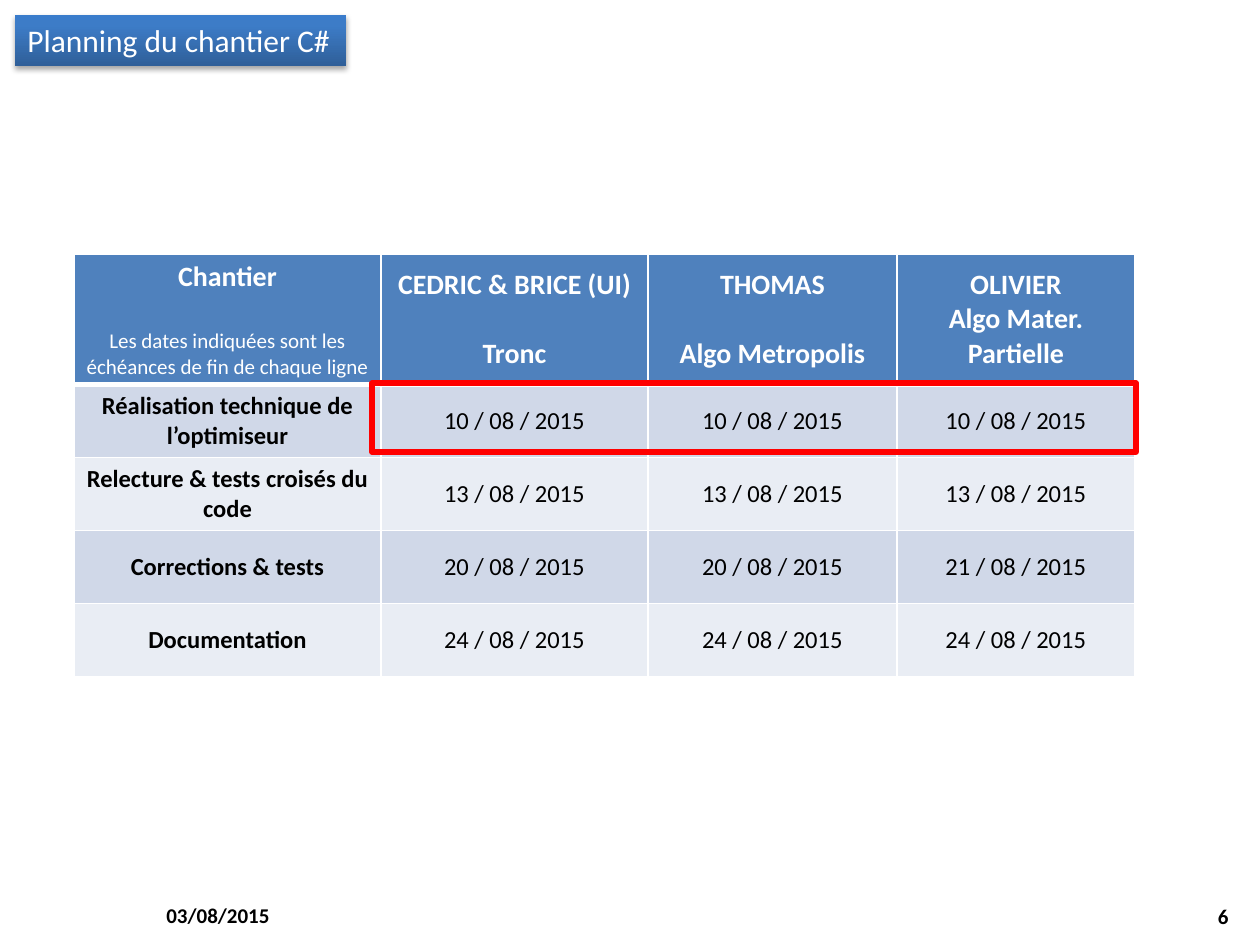
from copy import deepcopy
from dataclasses import dataclass

from lxml import etree
from pptx import Presentation
from pptx import util as u
from pptx.dml.color import RGBColor
from pptx.enum import shapes, text
from pptx.oxml.ns import qn

PX = 914400 / 126


@dataclass(frozen=True)
class Theme:
    font: str = "Calibri"
    black: str = "000000"
    white: str = "FFFFFF"
    header: str = "4F81BD"
    bands: tuple = ("D0D8E8", "E9EDF4")
    highlight: str = "FF0000"
    gradient: tuple = ((0, "2F5F99"), (0.8, "3D7CC7"), (1, "3A7CCB"))
    title: int = 18
    heading: int = 16
    body: int = 14
    small: int = 12
    line_gap: float = 19.5


T = Theme()
COLUMNS = (307, 267, 249, 238)
ROWS = (128, 73, 73, 73, 73)
HEADERS = (
    ("Chantier", "Les dates indiquées sont les échéances de fin de chaque ligne"),
    ("CEDRIC & BRICE (UI)", "Tronc"),
    ("THOMAS", "Algo Metropolis"),
    ("OLIVIER", "Algo Mater. Partielle"),
)
DEADLINES = (
    ("Réalisation technique de l’optimiseur", (10, 10, 10)),
    ("Relecture & tests croisés du code", (13, 13, 13)),
    ("Corrections & tests", (20, 20, 21)),
    ("Documentation", (24, 24, 24)),
)


def emu(*lengths):
    return [u.Emu(round(n * PX)) for n in lengths]


def rgb(value):
    return RGBColor.from_string(value)


def style(p, size, color, bold=False, align=text.PP_ALIGN.LEFT):
    p.alignment = align
    p.font.name, p.font.size, p.font.bold = T.font, u.Pt(size), bold
    p.font.color.rgb = rgb(color)


def add_title(slide, box, title):
    sp = slide.shapes.add_shape(shapes.MSO_SHAPE.RECTANGLE, *emu(*box))
    sp.line.fill.background()
    sp.fill.gradient()
    sp.fill.gradient_angle = 90
    stop_list = sp._element.spPr.find(qn("a:gradFill")).find(qn("a:gsLst"))
    stop_list.append(deepcopy(stop_list[-1]))
    for stop, (position, color) in zip(sp.fill.gradient_stops, T.gradient):
        stop.position = position
        stop.color.rgb = rgb(color)

    sp.shadow.inherit = False
    effects = sp._element.spPr.find(qn("a:effectLst"))
    shadow = etree.SubElement(effects, qn("a:outerShdw"), blurRad="40000",
                              dist="23000", dir="5400000", rotWithShape="0")
    color = etree.SubElement(shadow, qn("a:srgbClr"), val=T.black)
    etree.SubElement(color, qn("a:alpha"), val="35000")

    tf = sp.text_frame
    tf.word_wrap = False
    tf.auto_size = text.MSO_AUTO_SIZE.SHAPE_TO_FIT_TEXT
    tf.vertical_anchor = text.MSO_ANCHOR.TOP
    tf.text = title
    style(tf.paragraphs[0], T.title, T.white)


def set_borders(cell, bottom):
    tc_pr = cell._tc.get_or_add_tcPr()
    widths = (("a:lnL", 1), ("a:lnR", 1), ("a:lnT", 1), ("a:lnB", bottom))
    for i, (tag, width) in enumerate(widths):
        line = etree.Element(qn(tag), w=str(u.Pt(width)))
        fill = etree.SubElement(line, qn("a:solidFill"))
        etree.SubElement(fill, qn("a:srgbClr"), val=T.white)
        tc_pr.insert(i, line)


def fill_cell(cell, lines, fill, size, color, bold, bottom=1):
    cell.fill.solid()
    cell.fill.fore_color.rgb = rgb(fill)
    cell.vertical_anchor = text.MSO_ANCHOR.MIDDLE
    set_borders(cell, bottom)
    cell.text = "\n".join(lines)
    for p in cell.text_frame.paragraphs:
        style(p, size, color, bold, text.PP_ALIGN.CENTER)


def add_planning(slide, left, top):
    box = emu(left, top, sum(COLUMNS), sum(ROWS))
    table = slide.shapes.add_table(len(ROWS), len(COLUMNS), *box).table
    for column, width in zip(table.columns, emu(*COLUMNS)):
        column.width = width
    for row, height in zip(table.rows, emu(*ROWS)):
        row.height = height

    for c, lines in enumerate(HEADERS):
        cell = table.cell(0, c)
        fill_cell(cell, lines, T.header, T.heading, T.white, True, bottom=3)
        if c < len(HEADERS) - 1:
            cell.text_frame.paragraphs[1].space_before = u.Pt(T.line_gap)
    style(table.cell(0, 0).text_frame.paragraphs[1], T.small, T.white,
          align=text.PP_ALIGN.CENTER)

    for r, (task, days) in enumerate(DEADLINES, 1):
        labels = (task, *(f"{day} / 08 / 2015" for day in days))
        for c, label in enumerate(labels):
            fill_cell(table.cell(r, c), [label], T.bands[(r - 1) % 2],
                      T.body, T.black, c == 0)


def add_highlight(slide, box):
    sp = slide.shapes.add_shape(shapes.MSO_SHAPE.RECTANGLE, *emu(*box))
    sp.shadow.inherit = False
    sp.fill.background()
    sp.line.color.rgb = rgb(T.highlight)
    sp.line.width = u.Pt(3)


def add_footer(slide, box, label, align):
    tf = slide.shapes.add_textbox(*emu(*box)).text_frame
    tf.word_wrap = True
    tf.vertical_anchor = text.MSO_ANCHOR.MIDDLE
    tf.text = label
    style(tf.paragraphs[0], T.small, T.black, True, align)


def main():
    prs = Presentation()
    prs.slide_width, prs.slide_height = emu(1260, 945)
    slide = prs.slides.add_slide(prs.slide_layouts[6])
    add_footer(slide, (154, 890, 294, 50), "03/08/2015", text.PP_ALIGN.LEFT)
    add_footer(slide, (947, 891, 294, 50), "6", text.PP_ALIGN.RIGHT)
    add_planning(slide, 74, 254)
    add_title(slide, (15, 15, 331, 51), "Planning du chantier C#")
    add_highlight(slide, (372, 383, 764, 69))
    prs.save("out.pptx")


if __name__ == "__main__":
    main()
